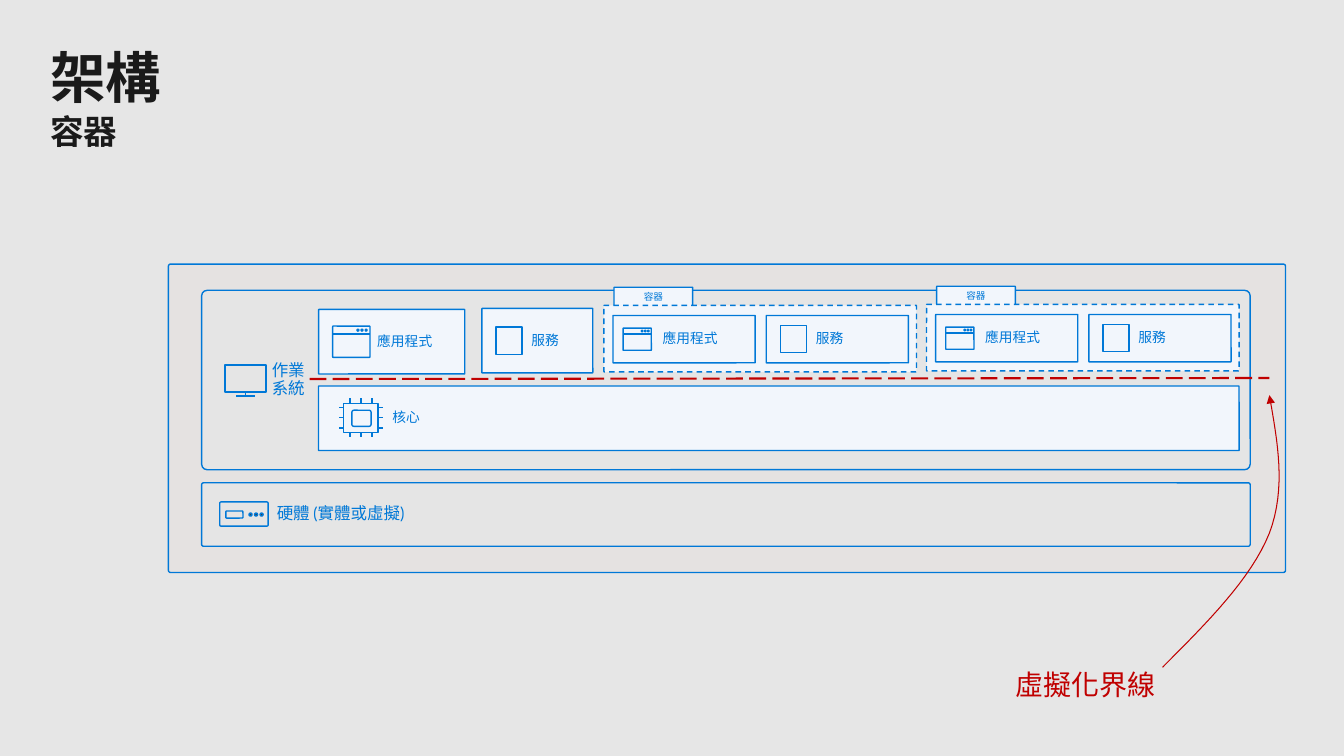
import pptx
import pptx.util
import pptx.dml.color
import pptx.enum.dml
import pptx.enum.shapes
import pptx.enum.text
import pptx.oxml.ns
import lxml.etree

Inches = pptx.util.Inches
Color = pptx.dml.color.RGBColor
Dash = pptx.enum.dml.MSO_LINE
Shape = pptx.enum.shapes.MSO_SHAPE
Anchor = pptx.enum.text.MSO_ANCHOR
Align = pptx.enum.text.PP_ALIGN

BLUE = Color(0x00, 0x78, 0xD7)
RED = Color(0xC0, 0x00, 0x00)
INK = Color(0x1A, 0x1A, 0x1A)
DOT = Color(0x41, 0x41, 0x42)
PALE = Color(0xF2, 0xF6, 0xFC)
GRAY = Color(0xE5, 0xE5, 0xE5)
BACK = Color(0xE6, 0xE6, 0xE6)
RUST = Color(0xD8, 0x3B, 0x01)
FONT = "Cabin"


def add_tag(parent, name, **attrs):
    """Append a drawing element to the parent."""
    return lxml.etree.SubElement(parent, pptx.oxml.ns.qn(name), attrs)


def write(frame, text, size=9.8, color=BLUE, bold=False, align=Align.LEFT,
          anchor=Anchor.TOP, pad=(0, 0, 0, 0), wrap=True, track=0):
    """Put formatted text into a text frame."""
    frame.word_wrap = wrap
    frame.vertical_anchor = anchor
    (frame.margin_left, frame.margin_top,
     frame.margin_right, frame.margin_bottom) = map(Inches, pad)
    para = frame.paragraphs[0]
    para.text = text
    para.alignment = align
    para.line_spacing = 0.9
    for run in para.runs:
        run.font.name = FONT
        run.font.size = pptx.util.Pt(size)
        run.font.bold = bold
        run.font.color.rgb = color
        props = run._r.get_or_add_rPr()
        props.set("lang", "zh-TW")
        if track:
            props.set("spc", str(track))


def add_text(slide, area, text, **style):
    """Add a text box."""
    label = slide.shapes.add_textbox(*map(Inches, area))
    write(label.text_frame, text, **style)


def add_box(slide, area, fill=None, kind=Shape.ROUNDED_RECTANGLE, curve=0.007, dash=None):
    """Add an outlined blue shape."""
    box = slide.shapes.add_shape(kind, *map(Inches, area))
    box.shadow.inherit = False
    if kind == Shape.ROUNDED_RECTANGLE:
        box.adjustments[0] = curve
    if fill is None:
        box.fill.background()
    else:
        box.fill.solid()
        box.fill.fore_color.rgb = fill
    box.line.color.rgb = BLUE
    box.line.width = pptx.util.Pt(1)
    if dash:
        box.line.dash_style = dash
    return box


def add_line(slide, start, end, color=BLUE, width=1, dash=None):
    """Add a straight line."""
    line = slide.shapes.add_connector(
        pptx.enum.shapes.MSO_CONNECTOR.STRAIGHT, *map(Inches, (*start, *end)))
    line.line.color.rgb = color
    line.line.width = pptx.util.Pt(width)
    if dash:
        line.line.dash_style = dash
    add_tag(line._element.spPr, "a:effectLst")
    return line


def add_panel(slide, area, text, inset, size=9.8, right=0.1, **style):
    """Add a box with a label centred in height."""
    box = add_box(slide, area, **style)
    write(box.text_frame, text, size=size, anchor=Anchor.MIDDLE,
          pad=(inset, 0.16, right, 0.16))


def add_dots(slide, left, top, step, size):
    """Add three dots in a row."""
    for i in range(3):
        add_box(slide, (left + i * step, top, size, size), DOT, Shape.OVAL)


def add_app(slide, area, inset, gap, wide, high):
    """Add an application box with a window icon."""
    add_panel(slide, area, "應用程式", inset, fill=PALE)
    left, top = area[0] + gap, area[1] + (area[3] - high) / 2
    add_box(slide, (left, top, wide, high), curve=0.02)
    bar = top + 0.26 * high
    add_line(slide, (left, bar), (left + wide, bar))
    add_dots(slide, left + 0.65 * wide, top + 0.1 * high, 0.11 * wide, 0.05 * wide)


def add_service(slide, area):
    """Add a service box with a plain icon."""
    add_panel(slide, area, "服務", 0.49, fill=PALE)
    add_box(slide, (area[0] + 0.14, area[1] + (area[3] - 0.27) / 2, 0.26, 0.27),
            kind=Shape.RECTANGLE)


def add_pod(slide, left, top):
    """Add a container with its tab, application and service."""
    tab = add_box(slide, (left + 0.1, top - 0.18, 0.78, 0.67), PALE)
    write(tab.text_frame, "容器", size=6.9, align=Align.CENTER, pad=(0, 0.05, 0, 0))
    add_box(slide, (left, top, 3.1, 0.66), PALE, dash=Dash.DASH)
    add_app(slide, (left + 0.09, top + 0.1, 1.41, 0.47), 0.49, 0.1, 0.28, 0.22)
    add_service(slide, (left + 1.61, top + 0.1, 1.41, 0.47))


def add_kernel(slide, area):
    """Add the kernel box with a chip icon."""
    add_panel(slide, area, "核心", 0.73, fill=PALE)
    left, top, wide, high = area[0] + 0.25, area[1] + 0.17, 0.34, 0.29
    add_box(slide, (left + 0.08, top + 0.07, 0.19, 0.16), curve=0.12)
    chip = add_box(slide, (left, top, wide, high), kind=Shape.RECTANGLE)
    for i in (-1, 0, 1):
        x, y = left + wide / 2 + i * 0.11, top + high / 2 + i * 0.1
        pins = (((x, top), (x, top - 0.05)),
                ((left, y), (left - 0.05, y)),
                ((x, top + high), (x, top + high + 0.05)),
                ((left + wide, y), (left + wide + 0.05, y)))
        for side, (start, end) in enumerate(pins):
            pin = add_line(slide, start, end)
            if i == 0:
                pin.begin_connect(chip, side)


def add_system(slide, area):
    """Add the operating system box with a monitor icon."""
    add_panel(slide, area, "作業\v系統", 0.68, 11.8, 0.2, fill=GRAY, curve=0.031)
    left, top = area[0] + 0.23, area[1] + 0.74
    screen = add_box(slide, (left, top, 0.41, 0.27), kind=Shape.RECTANGLE)
    mid, foot = left + 0.205, top + 0.31
    add_line(slide, (mid - 0.09, foot), (mid + 0.09, foot))
    add_line(slide, (mid, top + 0.27), (mid, foot)).begin_connect(screen, 2)


def add_hardware(slide, area):
    """Add the hardware box with a server icon."""
    add_panel(slide, area, "硬體 (實體或虛擬)", 0.74, 11.8, 0.2, fill=GRAY, curve=0.031)
    left, top = area[0] + 0.18, area[1] + 0.19
    add_box(slide, (left, top, 0.48, 0.24), curve=0.051)
    add_box(slide, (left + 0.06, top + 0.09, 0.17, 0.07), curve=0.118)
    add_dots(slide, left + 0.29, top + 0.11, 0.055, 0.03)


def add_border(slide, left, top):
    """Add the virtual border, its label and its curved arrow."""
    add_line(slide, (left, top), (left + 9.52, top - 0.01), RED, 1.5, Dash.LONG_DASH)
    add_text(slide, (left + 7, top + 2.9, 1.4, 0.34), "虛擬化界線",
             size=20, color=RED, wrap=False)
    bends = (((8.46, 2.86), (8.9, 2.42), (9.34, 1.98), (9.52, 1.53)),
             ((9.52, 1.53), (9.69, 1.08), (9.6, 0.62), (9.52, 0.16)))
    points = []
    for bend in bends:
        for i in range(17):
            t = i / 16
            parts = ((1 - t) ** 3, 3 * t * (1 - t) ** 2, 3 * t * t * (1 - t), t ** 3)
            points.append(tuple(Inches(base + sum(p * spot[axis] for p, spot in zip(parts, bend)))
                                for axis, base in enumerate((left, top))))
    maker = slide.shapes.build_freeform(*points[0])
    maker.add_line_segments(points[1:], close=False)
    arrow = maker.convert_to_shape()
    arrow.shadow.inherit = False
    arrow.fill.background()
    arrow.line.color.rgb = RED
    arrow.line.width = pptx.util.Pt(0.75)
    add_tag(arrow.line._get_or_add_ln(), "a:tailEnd", type="triangle")


def add_frame(slide, area):
    """Add the outer frame and all parts within it."""
    frame = add_box(slide, area, RUST)
    tint = frame._element.spPr.find(".//" + pptx.oxml.ns.qn("a:srgbClr"))
    add_tag(tint, "a:alpha", val="2000")
    left, top = area[0], area[1]
    add_system(slide, (left + 0.33, top + 0.26, 10.4, 1.78))
    add_hardware(slide, (left + 0.33, top + 2.17, 10.4, 0.63))
    add_kernel(slide, (left + 1.49, top + 1.21, 9.13, 0.64))
    add_app(slide, (left + 1.49, top + 0.45, 1.45, 0.64), 0.58, 0.14, 0.37, 0.31)
    add_service(slide, (left + 3.11, top + 0.44, 1.1, 0.64))
    add_border(slide, left + 1.4, top + 1.14)
    add_pod(slide, left + 4.32, top + 0.41)
    add_pod(slide, left + 7.52, top + 0.4)


def main():
    """Build and save the slide."""
    deck = pptx.Presentation()
    deck.slide_width, deck.slide_height = Inches(13.33), Inches(7.5)
    slide = deck.slides.add_slide(deck.slide_layouts[6])
    slide.background.fill.solid()
    slide.background.fill.fore_color.rgb = BACK
    add_text(slide, (0.5, 0.5, 12.33, 0.65), "架構", size=39.6, color=INK, bold=True, track=-50)
    add_text(slide, (0.5, 1.15, 12.33, 0.4), "容器", size=24, color=INK, bold=True, track=-60)
    add_frame(slide, (1.67, 2.62, 11.08, 3.06))
    deck.save("out.pptx")


if __name__ == "__main__":
    main()
